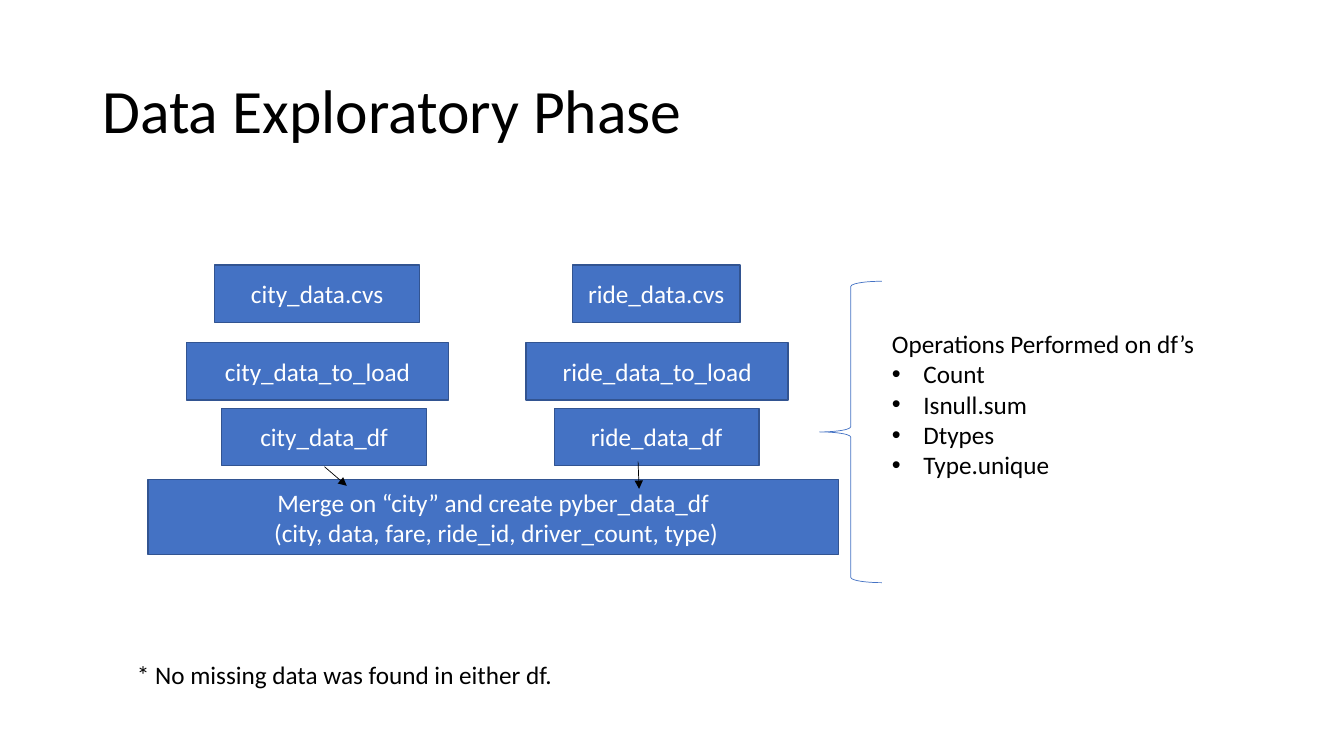
from lxml.etree import SubElement
from pptx import Presentation
from pptx.dml.color import RGBColor
from pptx.enum.shapes import MSO_CONNECTOR as Connector, MSO_SHAPE as Shape
from pptx.enum.text import MSO_ANCHOR as Anchor, MSO_AUTO_SIZE as AutoSize, PP_ALIGN as Align
from pptx.oxml.ns import qn
from pptx.util import Pt


def color(value):
    return RGBColor.from_string(value)


class SlideBuilder:
    font = "Calibri"
    ink = "000000"
    paper = "FFFFFF"
    accent = "4472C4"
    border = "325491"
    body_size = 18
    bullet_indent = 22.5

    def __init__(self, slide):
        self.slide = slide

    def add_text(self, paragraph, text, size, ink):
        run = paragraph.add_run()
        run.text = text
        run.font.name = self.font
        run.font.size = Pt(size)
        run.font.color.rgb = color(ink)

    def paragraphs(self, frame, lines):
        for index, line in enumerate(lines):
            yield (frame.add_paragraph() if index else frame.paragraphs[0]), line

    def bullet(self, paragraph):
        properties = paragraph._p.get_or_add_pPr()
        indent = Pt(self.bullet_indent)
        properties.set("marL", str(indent))
        properties.set("indent", str(-indent))
        SubElement(properties, qn("a:buFont"), typeface="Arial")
        SubElement(properties, qn("a:buChar"), char="•")

    def title(self, text, left, top, width, height):
        shape = self.slide.shapes.add_textbox(Pt(left), Pt(top), Pt(width), Pt(height))
        frame = shape.text_frame
        frame.word_wrap = True
        frame.vertical_anchor = Anchor.MIDDLE
        frame.paragraphs[0].line_spacing = 0.9
        self.add_text(frame.paragraphs[0], text, 44, self.ink)

    def note(self, heading, left, top, width, height, bullets=()):
        shape = self.slide.shapes.add_textbox(Pt(left), Pt(top), Pt(width), Pt(height))
        frame = shape.text_frame
        frame.word_wrap = False
        frame.auto_size = AutoSize.SHAPE_TO_FIT_TEXT
        for paragraph, line in self.paragraphs(frame, [heading, *bullets]):
            if line in bullets:
                self.bullet(paragraph)
            self.add_text(paragraph, line, self.body_size, self.ink)

    def box(self, lines, left, top, width, height):
        shape = self.slide.shapes.add_shape(
            Shape.RECTANGLE, Pt(left), Pt(top), Pt(width), Pt(height))
        shape.shadow.inherit = False
        shape.fill.solid()
        shape.fill.fore_color.rgb = color(self.accent)
        shape.line.color.rgb = color(self.border)
        shape.line.width = Pt(1)
        frame = shape.text_frame
        frame.word_wrap = True
        frame.vertical_anchor = Anchor.MIDDLE
        for paragraph, line in self.paragraphs(frame, lines):
            paragraph.alignment = Align.CENTER
            self.add_text(paragraph, line, self.body_size, self.paper)

    def brace(self, left, top, width, height):
        shape = self.slide.shapes.add_shape(
            Shape.LEFT_BRACE, Pt(left), Pt(top), Pt(width), Pt(height))
        shape.shadow.inherit = False
        shape.fill.background()
        shape.line.color.rgb = color(self.accent)
        shape.line.width = Pt(0.5)

    def arrow(self, start_x, start_y, end_x, end_y):
        connector = self.slide.shapes.add_connector(
            Connector.STRAIGHT, Pt(start_x), Pt(start_y), Pt(end_x), Pt(end_y))
        connector.line.color.rgb = color(self.ink)
        connector.line.width = Pt(0.5)
        properties = connector._element.spPr
        SubElement(properties.find(qn("a:ln")), qn("a:tailEnd"), type="triangle")
        SubElement(properties, qn("a:effectLst"))


def main():
    presentation = Presentation()
    presentation.slide_width = Pt(960)
    presentation.slide_height = Pt(540)
    builder = SlideBuilder(presentation.slides.add_slide(presentation.slide_layouts[6]))

    builder.title("Data Exploratory Phase", 66, 28.8, 828, 104.4)

    stages = [
        ("data.cvs", 189.4, (153.4, 146.2), (409, 119.5)),
        ("data_to_load", 244.8, (133.2, 187.2), (375.8, 187.2)),
        ("data_df", 291.6, (158.4, 146.2), (396, 146.2)),
    ]
    for suffix, top, *spans in stages:
        for source, (left, width) in zip(("city", "ride"), spans):
            builder.box([f"{source}_{suffix}"], left, top, width, 41)

    builder.box(
        ["Merge on “city” and create pyber_data_df",
         " (city, data, fare, ride_id, driver_count, type)"],
        105.8, 342.7, 493.2, 53.3)
    builder.arrow(455.8, 329.8, 456.5, 349.2)
    builder.arrow(231.8, 333.4, 247.7, 347)

    builder.brace(585.4, 200.9, 44.6, 215.3)
    builder.note("Operations Performed on df’s", 630, 231.1, 233.3, 116.6,
                 ["Count", "Isnull.sum", "Dtypes", "Type.unique"])
    builder.note("* No missing data was found in either df.", 90.7, 467.3, 319, 28.8)

    presentation.save("out.pptx")


if __name__ == "__main__":
    main()
